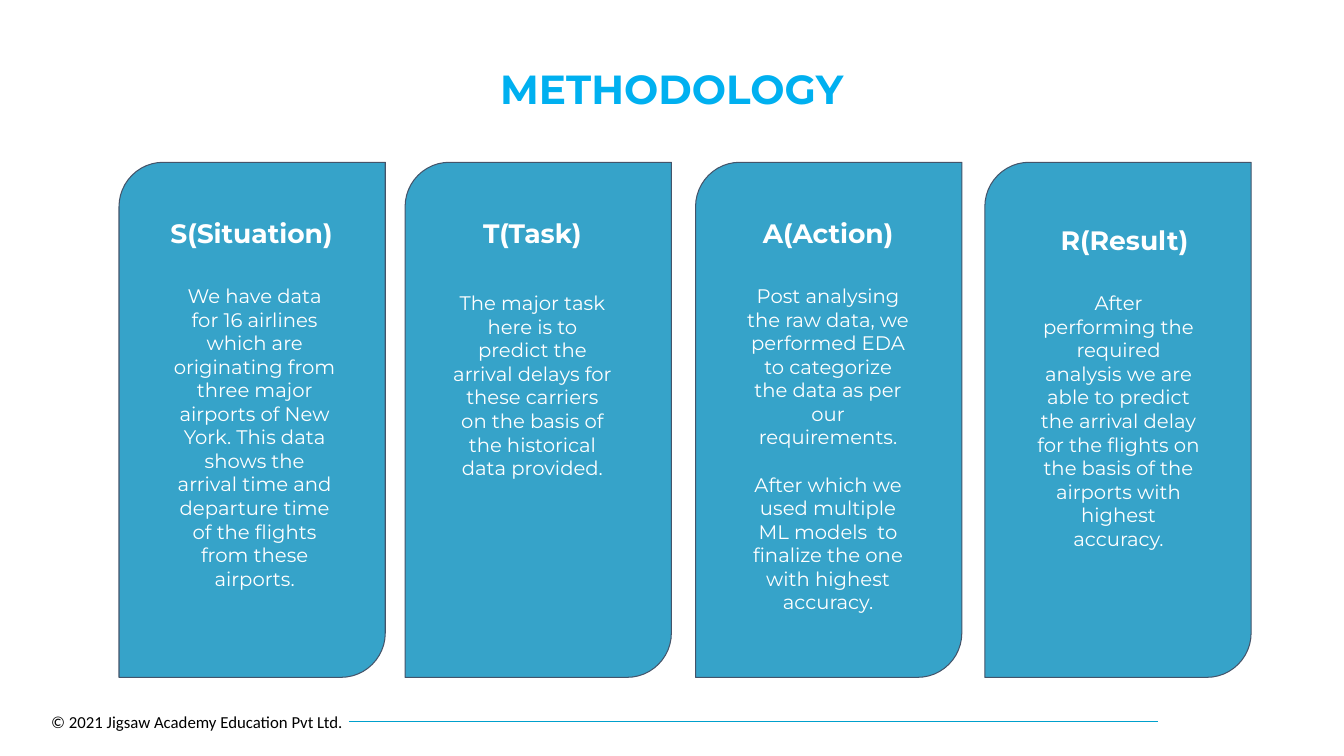
from collections import namedtuple

from pptx import Presentation
from pptx.dml.color import RGBColor
from pptx.enum.shapes import MSO_CONNECTOR, MSO_SHAPE as Preset
from pptx.enum.text import MSO_ANCHOR as Anchor, PP_ALIGN as Align
from pptx.oxml.ns import qn
from pptx.util import Cm, Pt
from lxml.etree import SubElement

COLORS = {
    "title": "00B0F0",
    "card": "36A3C9",
    "outline": "44546A",
    "rule": "00A0CC",
    "on_card": "FFFFFF",
    "footer": "000000",
}
FORMATS = {
    "title": {"name": "Montserrat", "size": Pt(29), "bold": True},
    "heading": {"name": "Montserrat", "size": Pt(19), "bold": True},
    "body": {"name": "Montserrat", "size": Pt(14), "bold": False},
    "footer": {"name": "Calibri", "size": Pt(12), "bold": False},
}
Box = namedtuple("Box", "left top width height")
Column = namedtuple("Column", "left heading heading_box paragraphs body_box")

CARD_TOP, CARD_WIDTH, CARD_HEIGHT = 4.09, 6.71, 12.98
BODY_LINE = Pt(17)

# Heading and body boxes are measured from the card's top left corner.
COLUMNS = [
    Column(3.0, "S(Situation)", Box(0.84, 1.19, 5.0, 1.19), [
        "We have data for 16 airlines which are originating from three major "
        "airports of New York. This data shows the arrival time and departure "
        "time of the flights from these airports.",
    ], Box(1.12, 2.82, 4.6, 8.69)),
    Column(10.21, "T(Task)", Box(0.91, 1.19, 4.6, 1.19), [
        "The major task here is to predict the arrival delays for these "
        "carriers on the basis of the historical data provided.",
    ], Box(0.91, 3.0, 4.6, 8.69)),
    Column(17.53, "A(Action)", Box(1.04, 1.19, 4.6, 1.19), [
        "Post analysing the raw data, we performed EDA to categorize the data "
        "as per our requirements.",
        "After which we used multiple ML models  to finalize the one with "
        "highest accuracy.",
    ], Box(1.04, 2.82, 4.6, 8.69)),
    Column(24.82, "R(Result)", Box(1.22, 1.35, 4.6, 1.19), [
        "After performing the required analysis we are able to predict the "
        "arrival delay for the flights on the basis of the airports with "
        "highest accuracy.",
    ], Box(1.07, 3.0, 4.6, 8.69)),
]


def rgb(role):
    return RGBColor.from_string(COLORS[role])


def lengths(box):
    return [Cm(value) for value in box]


def within(outer, inner):
    return inner._replace(left=outer.left + inner.left, top=outer.top + inner.top)


def write(shape, paragraphs, style, color, align, anchor, inset=(0.25, 0.25)):
    """Fill the shape with paragraphs; inset is (horizontal, vertical) in cm."""
    frame = shape.text_frame
    across, down = (Cm(value) for value in inset)
    settings = {
        "word_wrap": True, "vertical_anchor": anchor,
        "margin_left": across, "margin_right": across,
        "margin_top": down, "margin_bottom": down,
    }
    for key, value in settings.items():
        setattr(frame, key, value)
    for index, text in enumerate(paragraphs):
        paragraph = frame.add_paragraph() if index else frame.paragraphs[0]
        paragraph.alignment = align
        if index:
            paragraph.space_before = BODY_LINE
        run = paragraph.add_run()
        run.text = text
        for key, value in FORMATS[style].items():
            setattr(run.font, key, value)
        run.font.color.rgb = rgb(color)


def add_panel(slide, preset, box, outline=None):
    panel = slide.shapes.add_shape(preset, *lengths(box))
    panel.shadow.inherit = False
    panel.fill.solid()
    panel.fill.fore_color.rgb = rgb("card")
    if outline:
        panel.line.color.rgb = rgb(outline)
        panel.line.width = Pt(0.75)
    else:
        panel.line.fill.background()
    return panel


def add_title(slide, box):
    title = slide.shapes.add_textbox(*lengths(box))
    write(title, ["METHODOLOGY"], "title", "title", Align.CENTER, Anchor.MIDDLE,
          (0.25, 0.13))
    title.text_frame.paragraphs[0].line_spacing = 0.9


def add_column(slide, column, box):
    add_panel(slide, Preset.ROUND_2_DIAG_RECTANGLE, box, "outline")
    heading = add_panel(slide, Preset.ROUNDED_RECTANGLE,
                        within(box, column.heading_box), "card")
    write(heading, [column.heading], "heading", "on_card", Align.CENTER, Anchor.MIDDLE)
    body = add_panel(slide, Preset.RECTANGLE, within(box, column.body_box))
    write(body, column.paragraphs, "body", "on_card", Align.CENTER, Anchor.TOP)


def add_footer(slide, box):
    """Place the copyright line at the left and a rule through the rest."""
    notice_width = 7.95
    rule_start = box.left + 7.75
    rule_y = box.top + box.height / 2
    rule = slide.shapes.add_connector(
        MSO_CONNECTOR.STRAIGHT,
        *lengths((rule_start, rule_y, box.left + box.width, rule_y)))
    rule.line.color.rgb = rgb("rule")
    rule.line.width = Pt(0.75)
    SubElement(rule._element.spPr, qn("a:effectLst"))
    notice = slide.shapes.add_textbox(*lengths(box._replace(width=notice_width)))
    write(notice, ["© 2021 Jigsaw Academy Education Pvt Ltd."], "footer", "footer",
          Align.LEFT, Anchor.TOP, (0.25, 0.13))


def main():
    deck = Presentation()
    deck.slide_width, deck.slide_height = Cm(33.87), Cm(19.05)
    slide = deck.slides.add_slide(deck.slide_layouts[6])
    add_footer(slide, Box(1.04, 17.81, 28.14, 0.76))
    add_title(slide, Box(1.3, 1.3, 31.27, 1.98))
    for column in COLUMNS:
        add_column(slide, column, Box(column.left, CARD_TOP, CARD_WIDTH, CARD_HEIGHT))
    deck.save("out.pptx")


if __name__ == "__main__":
    main()
